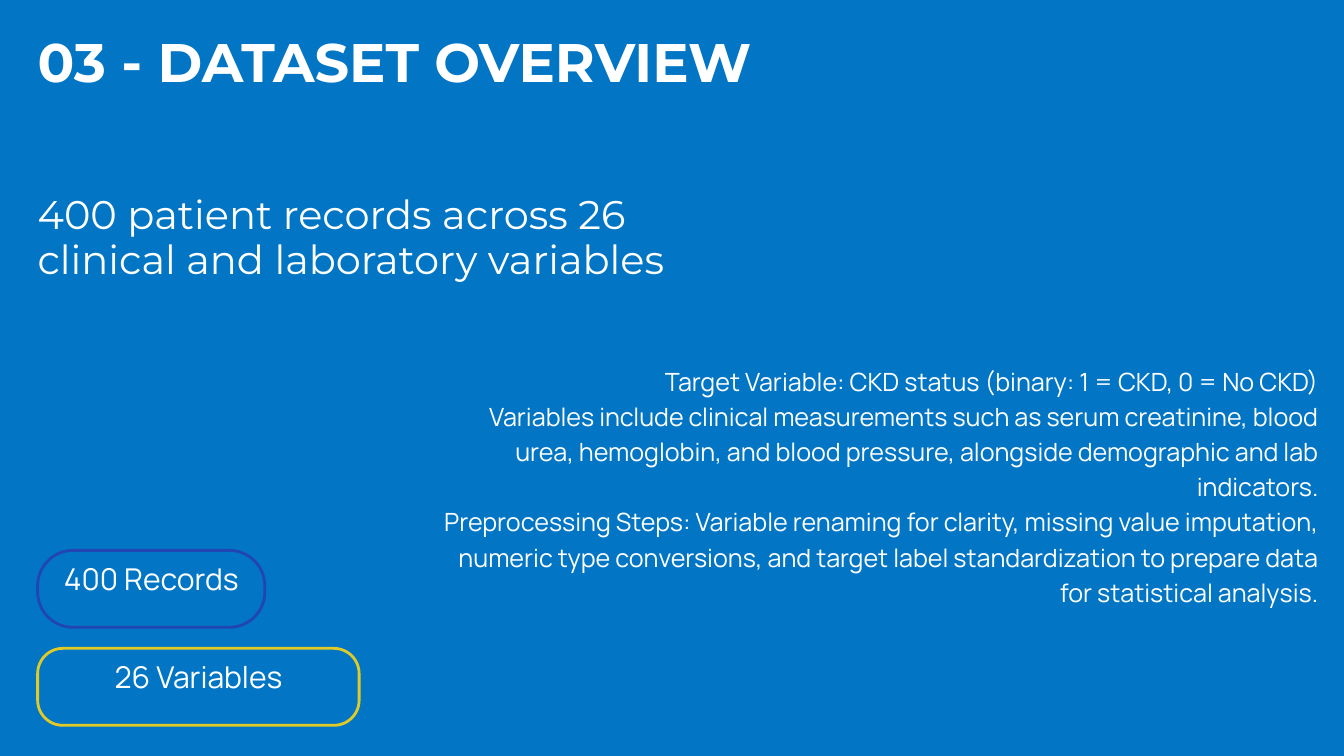
from pptx import Presentation
from pptx.dml.color import RGBColor
from pptx.enum.shapes import MSO_SHAPE
from pptx.enum.text import MSO_ANCHOR, PP_ALIGN
from pptx.util import Pt

COLORS = {"background": "0276C5", "text": "FFFFFF", "records": "2145B2", "variables": "E0CA27"}
HEADING_FONT, BODY_FONT = "Montserrat", "Manrope"

TITLE = "03 - DATASET OVERVIEW"
SUMMARY = "400 patient records across 26 clinical and laboratory variables"
DETAILS = [
    "Target Variable: CKD status (binary: 1 = CKD, 0 = No CKD)",
    "Variables include clinical measurements such as serum creatinine, blood urea, "
    "hemoglobin, and blood pressure, alongside demographic and lab indicators.",
    "Preprocessing Steps: Variable renaming for clarity, missing value imputation, numeric "
    "type conversions, and target label standardization to prepare data for statistical analysis.",
]
# label, outline colour, width, corner radius
BADGES = [
    ("400 Records", "records", 243.5, 38),
    ("26 Variables", "variables", 344.5, 27),
]

LEFT = 40.3
BADGE_TOP, BADGE_HEIGHT, BADGE_PITCH = 589.7, 82.5, 105
LABEL_RISE = 28.8  # the label box starts this far above its badge


def rgb(name):
    return RGBColor.from_string(COLORS[name])


def add_text(slide, paragraphs, left, top, width, height, *, font, size, leading,
             bold=False, align=PP_ALIGN.LEFT, anchor=MSO_ANCHOR.TOP, inset=0):
    frame = slide.shapes.add_textbox(Pt(left), Pt(top), Pt(width), Pt(height)).text_frame
    frame.word_wrap = True
    frame.vertical_anchor = anchor
    frame.margin_left = frame.margin_right = Pt(inset)
    frame.margin_top = frame.margin_bottom = Pt(inset)
    frame.text = "\n".join(paragraphs)
    for paragraph in frame.paragraphs:
        paragraph.alignment = align
        paragraph.line_spacing = Pt(leading)
        for run in paragraph.runs:
            run.font.name = font
            run.font.size = Pt(size)
            run.font.bold = bold
            run.font.color.rgb = rgb("text")


def add_badge(slide, label, color, top, width, radius):
    outline = slide.shapes.add_shape(
        MSO_SHAPE.ROUNDED_RECTANGLE, Pt(LEFT), Pt(top), Pt(width), Pt(BADGE_HEIGHT))
    outline.adjustments[0] = radius / BADGE_HEIGHT
    outline.shadow.inherit = False
    outline.fill.background()
    outline.line.color.rgb = rgb(color)
    outline.line.width = Pt(3)
    add_text(slide, [label], LEFT, top - LABEL_RISE, width, BADGE_HEIGHT + LABEL_RISE,
             font=BODY_FONT, size=32.2, leading=45.1, align=PP_ALIGN.CENTER,
             anchor=MSO_ANCHOR.MIDDLE, inset=4)


def main():
    deck = Presentation()
    deck.slide_width, deck.slide_height = Pt(1440), Pt(810)
    slide = deck.slides.add_slide(deck.slide_layouts[6])
    slide.background.fill.solid()
    slide.background.fill.fore_color.rgb = rgb("background")

    for row, (label, color, width, radius) in enumerate(BADGES):
        add_badge(slide, label, color, BADGE_TOP + row * BADGE_PITCH, width, radius)

    add_text(slide, [TITLE], LEFT, 33.8, 770.4, 67.7,
             font=HEADING_FONT, size=58.1, leading=66.2, bold=True)
    add_text(slide, DETAILS, 473, 387.4, 939.6, 262.8,
             font=BODY_FONT, size=26.9, leading=37.6, align=PP_ALIGN.RIGHT)
    add_text(slide, [SUMMARY], LEFT, 205.9, 730, 96.5,
             font=HEADING_FONT, size=42.8, leading=48.4)
    deck.save("out.pptx")


if __name__ == "__main__":
    main()
